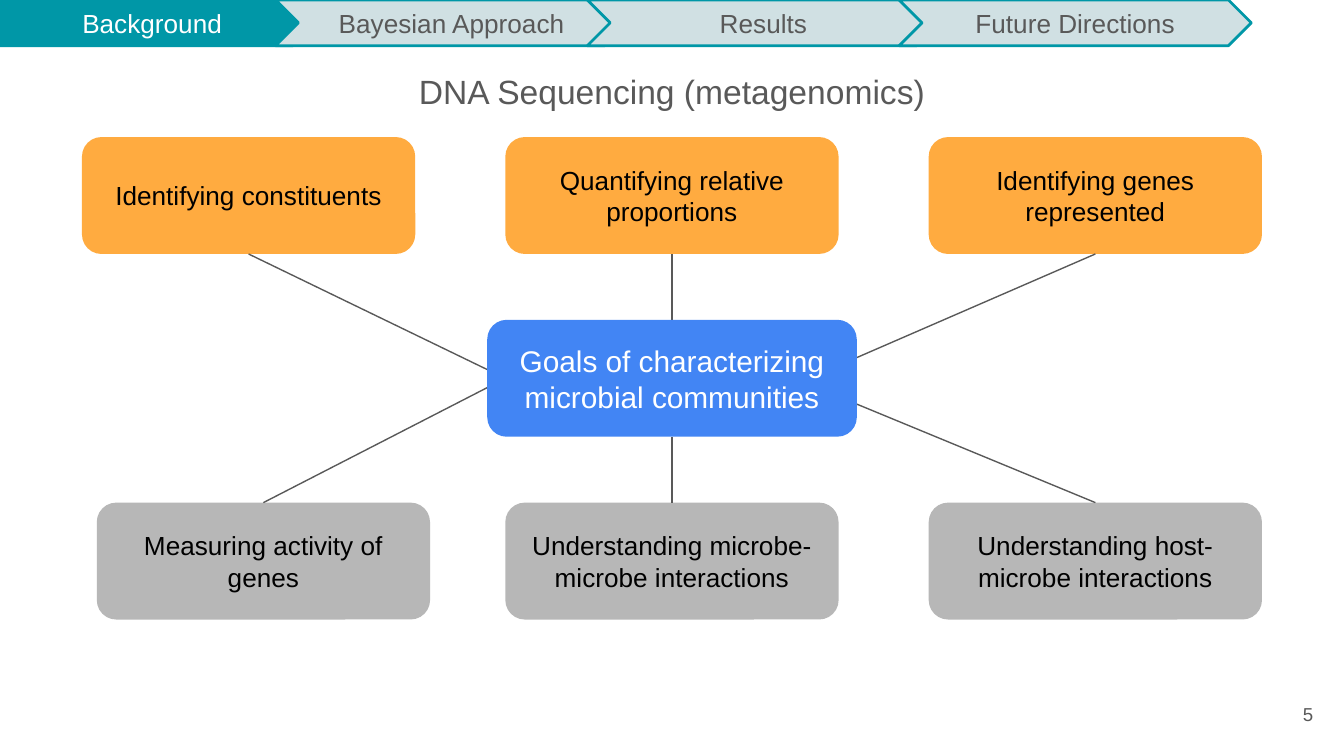
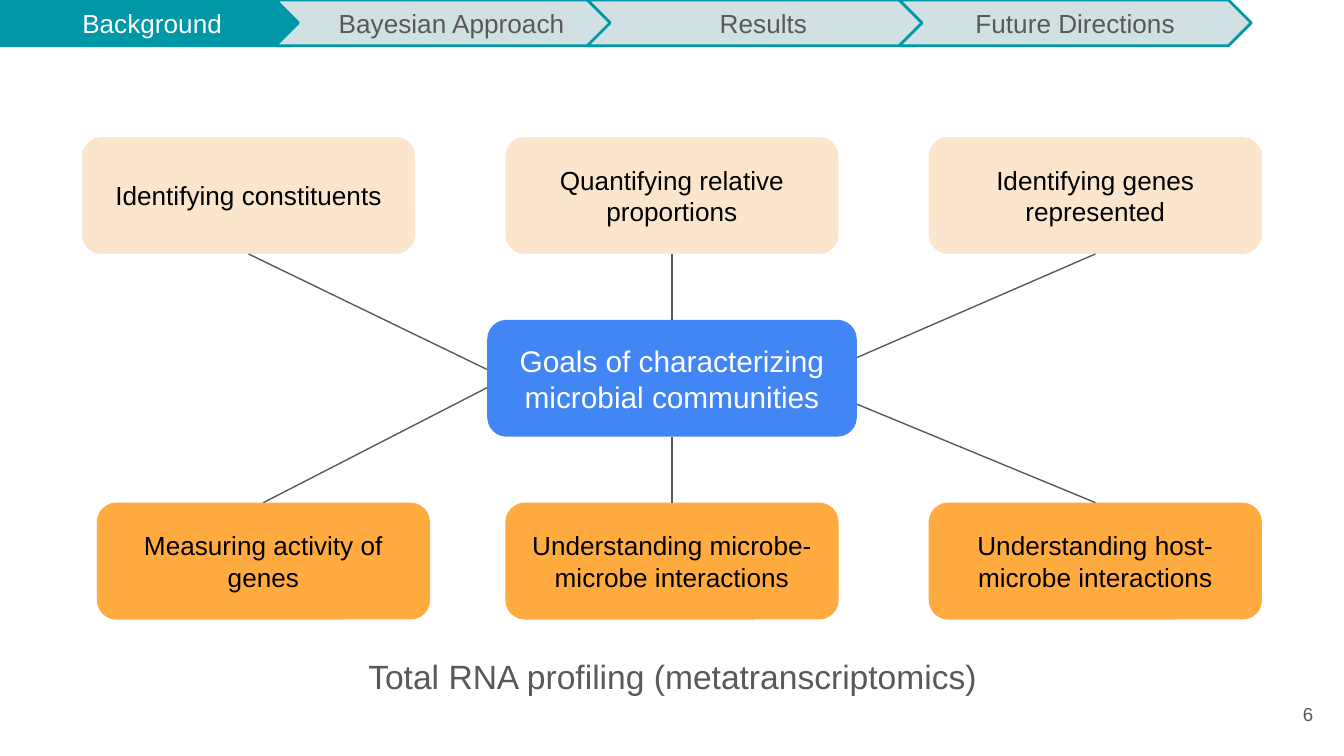
"""Builds two slides on the goals of characterizing microbial communities."""
import pptx
import pptx.util
import pptx.dml.color
import pptx.enum.shapes
import pptx.enum.text
import pptx.oxml.ns
from lxml import etree

SHAPE = pptx.enum.shapes.MSO_SHAPE
ALIGN = pptx.enum.text.PP_ALIGN
ANCHOR = pptx.enum.text.MSO_ANCHOR
IN = pptx.util.Inches

TEAL, PALE, GREY, WHITE, BLACK = "0097A7", "D0E0E3", "595959", "FFFFFF", "000000"
ORANGE, CREAM, SILVER, BLUE = "FFAB40", "FCE5CD", "B7B7B7", "4285F4"

SECTIONS = ["Background", "Bayesian Approach", "Results", "Future Directions"]
HUB = "Goals of characterizing microbial communities"
GOALS = [
    ["Identifying constituents", "Quantifying relative proportions",
     "Identifying genes represented"],
    ["Measuring activity of genes", "Understanding microbe-microbe interactions",
     "Understanding host-microbe interactions"],
]
SLIDES = [
    dict(number=5, title="DNA Sequencing (metagenomics)",
         at=(2.85, 0.43, 4.3, 0.5), fills=(ORANGE, SILVER)),
    dict(number=6, title="Total RNA profiling (metatranscriptomics)",
         at=(2.58, 4.78, 4.85, 0.5), fills=(CREAM, ORANGE)),
]

WIDTH = 10
HEIGHT = WIDTH * 9 / 16
MID_X = WIDTH / 2
COLUMN_PITCH, ROW_PITCH, TOP = 3.15, 1.36, 1.02
BOX_W, BOX_H, HUB_W = 2.48, 0.87, 2.75
HUB_Y = TOP + ROW_PITCH
INDENT = 0.11
HUB_ENDS = [[3.76, MID_X, 6.02], [3.76, MID_X, 5.91]]
NAV_H, NAV_FIRST_W, NAV_W, NAV_LEFT, NAV_PITCH = 0.34, 2.35, 2.62, 2.05, 2.32


def rgb(value):
    return pptx.dml.color.RGBColor.from_string(value)


def write(sp, text, size=14, color=BLACK, align=ALIGN.CENTER, anchor=ANCHOR.MIDDLE):
    tf = sp.text_frame
    tf.word_wrap = True
    tf.auto_size = pptx.enum.text.MSO_AUTO_SIZE.NONE
    tf.vertical_anchor = anchor
    tf.margin_left = tf.margin_top = tf.margin_right = tf.margin_bottom = IN(0.1)
    p = tf.paragraphs[0]
    p.alignment = align
    r = p.add_run()
    r.text = text
    r.font.size = pptx.util.Pt(size)
    r.font.name = "Arial"
    r.font.color.rgb = rgb(color)


def add_block(shapes, kind, at, text, fill, line=None, **fmt):
    sp = shapes.add_shape(kind, *map(IN, at))
    sp.shadow.inherit = False
    sp.fill.solid()
    sp.fill.fore_color.rgb = rgb(fill)
    if line:
        sp.line.color.rgb = rgb(line)
        sp.line.width = pptx.util.Pt(1.5)
    else:
        sp.line.fill.background()
    write(sp, text, **fmt)
    return sp


def add_line(s, x, y, goal, site):
    cx = s.shapes.add_connector(pptx.enum.shapes.MSO_CONNECTOR.STRAIGHT,
                                IN(x), IN(y), IN(x), IN(y))
    cx.end_connect(goal, site)
    cx.line.color.rgb = rgb(GREY)
    cx.line.width = pptx.util.Pt(0.75)
    etree.SubElement(cx.element.spPr, pptx.oxml.ns.qn("a:effectLst"))
    return cx


def add_nav(s):
    shapes = s.shapes.add_group_shape().shapes
    add_block(shapes, SHAPE.PENTAGON, (0, 0, NAV_FIRST_W, NAV_H),
              SECTIONS[0], TEAL, TEAL, color=WHITE)
    for i, name in enumerate(SECTIONS[1:]):
        add_block(shapes, SHAPE.CHEVRON, (NAV_LEFT + i * NAV_PITCH, 0, NAV_W, NAV_H),
                  name, PALE, TEAL, color=GREY)


def add_goals(s, fills):
    box = SHAPE.FLOWCHART_ALTERNATE_PROCESS
    goals = []
    for row, names in enumerate(GOALS):
        for col, name in enumerate(names):
            x = MID_X + (col - 1) * COLUMN_PITCH - BOX_W / 2
            if (row, col) == (1, 0):
                x += INDENT
            y = TOP + 2 * row * ROW_PITCH
            sp = add_block(s.shapes, box, (x, y, BOX_W, BOX_H), name, fills[row])
            goals.append((row, col, sp))
    upright = []
    for row, col, sp in goals:
        cx = add_line(s, HUB_ENDS[row][col], HUB_Y + BOX_H / 2, sp, 0 if row else 2)
        if col == 1:
            upright.append((cx, 2 if row else 0))
    hub = add_block(s.shapes, box, (MID_X - HUB_W / 2, HUB_Y, HUB_W, BOX_H),
                    HUB, BLUE, size=16, color=WHITE)
    for cx, site in upright:
        cx.begin_connect(hub, site)


def add_slide(prs, number, title, at, fills):
    s = prs.slides.add_slide(prs.slide_layouts[5])
    sp = s.shapes.title
    sp.left, sp.top, sp.width, sp.height = map(IN, at)
    write(sp, title, size=18, color=GREY, anchor=ANCHOR.TOP)
    write(s.shapes.add_textbox(*map(IN, (9.27, 5.1, 0.6, 0.43))), str(number),
          size=10, color=GREY, align=ALIGN.RIGHT)
    add_nav(s)
    add_goals(s, fills)


def main():
    prs = pptx.Presentation()
    prs.slide_width, prs.slide_height = IN(WIDTH), IN(HEIGHT)
    for content in SLIDES:
        add_slide(prs, **content)
    prs.save("out.pptx")


if __name__ == "__main__":
    main()
